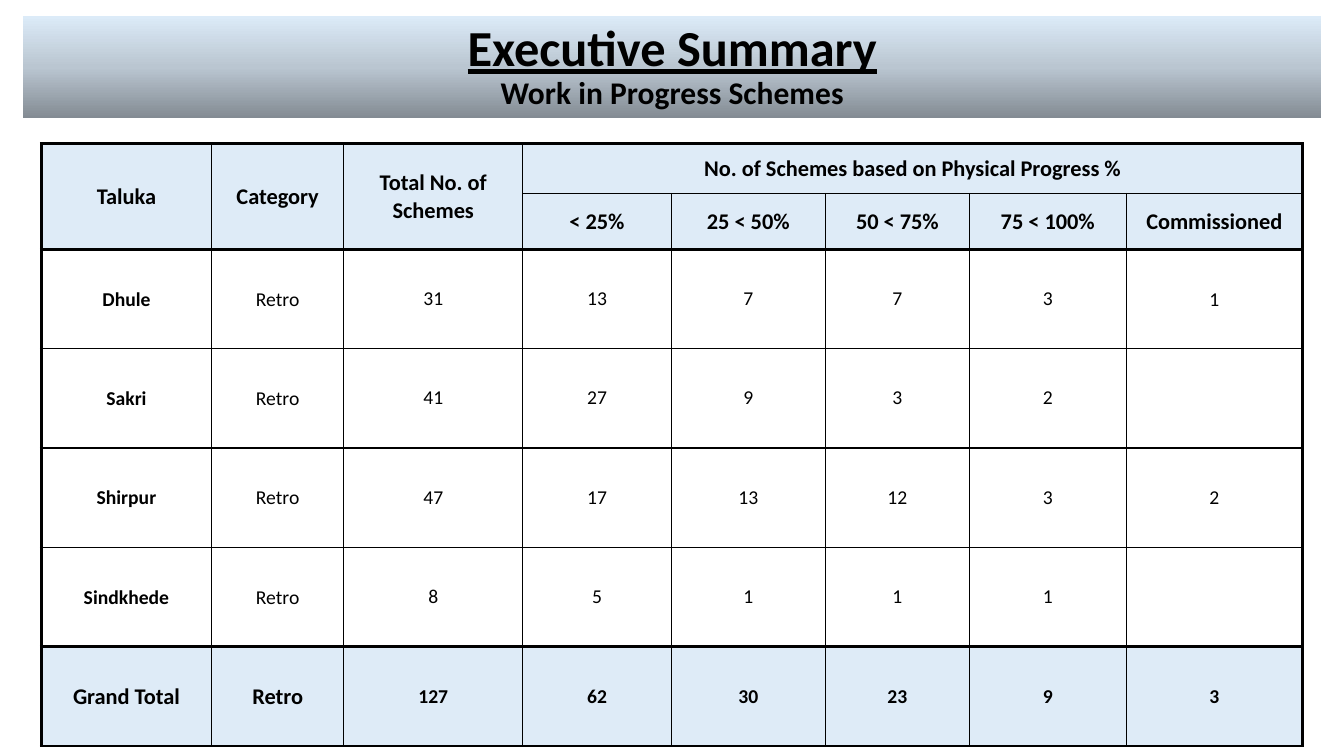
"""Build the executive summary slide of work in progress schemes."""
from dataclasses import dataclass

from pptx import Presentation
from pptx.dml.color import RGBColor
from pptx.enum.shapes import MSO_SHAPE
from pptx.enum.text import MSO_ANCHOR, PP_ALIGN
from pptx.oxml import parse_xml
from pptx.oxml.ns import nsdecls
from pptx.slide import Slide
from pptx.table import Table, _Cell
from pptx.util import Pt

CENTER = PP_ALIGN.CENTER
MIDDLE = MSO_ANCHOR.MIDDLE
RECTANGLE = MSO_SHAPE.RECTANGLE


@dataclass(frozen=True)
class Theme:
    """Colours, font and sizes of the slide."""
    font: str = "Calibri"
    text: str = "000000"
    border: str = "000000"
    shade: str = "DEEBF7"
    gradient: tuple[tuple[int, str], ...] = ((0, "838B93"), (50, "BAC6D1"), (100, "DCEBF8"))
    title_size: float = 36
    subtitle_size: float = 22.5
    heading_size: float = 16
    body_size: float = 14
    thin: float = 1
    thick: float = 2.25


@dataclass(frozen=True)
class Box:
    """A place on the slide in points."""
    left: float
    top: float
    width: float
    height: float


@dataclass(frozen=True)
class Heading:
    """A header cell and the rows and columns it covers."""
    row: int
    column: int
    text: str
    rows: int = 1
    columns: int = 1


@dataclass(frozen=True)
class Scheme:
    """The scheme counts of one taluka."""
    taluka: str
    category: str
    counts: tuple[int | None, ...]


THEME = Theme()
BANNER = Box(16.5, 11.5, 927.5, 72.75)
TABLE = Box(29.5, 102.75, 901, 426)
COLUMN_WIDTHS = (121.7, 94.3, 128, 106, 110.2, 102.8, 112, 126)
HEADER_ROWS = 2
HEADER_HEIGHT = 35.5
ROW_HEIGHT = 71
TIGHT_MARGINS = (0.6, 0.6, 0.6, 0)
COUNT_MARGINS = (2.2, 1.1, 2.2, 1.1)

HEADINGS = (
    Heading(0, 0, "Taluka", rows=2),
    Heading(0, 1, "Category", rows=2),
    Heading(0, 2, "Total No. of Schemes", rows=2),
    Heading(0, 3, "No. of Schemes based on Physical Progress %", columns=5),
    Heading(1, 3, "< 25%"),
    Heading(1, 4, "25 < 50%"),
    Heading(1, 5, "50 < 75%"),
    Heading(1, 6, "75 < 100%"),
    Heading(1, 7, "Commissioned"),
)
SCHEMES = (
    Scheme("Dhule", "Retro", (31, 13, 7, 7, 3, 1)),
    Scheme("Sakri", "Retro", (41, 27, 9, 3, 2, None)),
    Scheme("Shirpur", "Retro", (47, 17, 13, 12, 3, 2)),
    Scheme("Sindkhede", "Retro", (8, 5, 1, 1, 1, None)),
    Scheme("Grand Total", "Retro", (127, 62, 30, 23, 9, 3)),
)
ROW_COUNT = HEADER_ROWS + len(SCHEMES)
TOTAL_ROW = ROW_COUNT - 1
LAST_COLUMN = len(COLUMN_WIDTHS) - 1
THICK_ROW_EDGES = {0, HEADER_ROWS, TOTAL_ROW, ROW_COUNT}
THICK_COLUMN_EDGES = {0, len(COLUMN_WIDTHS)}


def add_banner(slide: Slide, box: Box) -> None:
    """Draw the gradient band with the title and subtitle."""
    shape = slide.shapes.add_shape(
        RECTANGLE, Pt(box.left), Pt(box.top), Pt(box.width), Pt(box.height))
    shape.shadow.inherit = False
    shape.line.fill.background()
    stops = "".join(
        f'<a:gs pos="{position * 1000}"><a:srgbClr val="{color}"/></a:gs>'
        for position, color in THEME.gradient)
    shape.element.spPr.ln.addprevious(parse_xml(
        f'<a:gradFill {nsdecls("a")} rotWithShape="1"><a:gsLst>{stops}</a:gsLst>'
        '<a:lin ang="16200000" scaled="0"/></a:gradFill>'))
    shape.text_frame.word_wrap = True
    shape.text_frame.vertical_anchor = MIDDLE
    paragraph = shape.text_frame.paragraphs[0]
    paragraph.alignment = CENTER
    paragraph.line_spacing = 0.9
    paragraph.font.name = THEME.font
    paragraph.font.bold = True
    paragraph.font.color.rgb = RGBColor.from_string(THEME.text)
    title = paragraph.add_run()
    title.text = "Executive Summary"
    title.font.size = Pt(THEME.title_size)
    title.font.underline = True
    paragraph.add_line_break()
    subtitle = paragraph.add_run()
    subtitle.text = "Work in Progress Schemes"
    subtitle.font.size = Pt(THEME.subtitle_size)


def write_cell(cell: _Cell, text: str, size: float, bold: bool, margins: tuple[float, ...]) -> None:
    """Write centred text into a table cell."""
    cell.vertical_anchor = MIDDLE
    cell.margin_left, cell.margin_top, cell.margin_right, cell.margin_bottom = map(Pt, margins)
    cell.text = text
    paragraph = cell.text_frame.paragraphs[0]
    paragraph.alignment = CENTER
    paragraph.font.name = THEME.font
    paragraph.font.size = Pt(size)
    paragraph.font.bold = bold
    paragraph.font.color.rgb = RGBColor.from_string(THEME.text)


def style_cell(cell: _Cell, row: int, column: int) -> None:
    """Fill a cell and draw its borders according to its place."""
    if row < HEADER_ROWS or row == TOTAL_ROW:
        cell.fill.solid()
        cell.fill.fore_color.rgb = RGBColor.from_string(THEME.shade)
    else:
        cell.fill.background()
    if cell.is_spanned:
        return
    edges = (
        ("lnL", column in THICK_COLUMN_EDGES),
        ("lnR", column + cell.span_width in THICK_COLUMN_EDGES),
        ("lnT", row in THICK_ROW_EDGES),
        ("lnB", row + cell.span_height in THICK_ROW_EDGES),
    )
    properties = cell._tc.get_or_add_tcPr()
    for index, (tag, thick) in enumerate(edges):
        width = Pt(THEME.thick if thick else THEME.thin)
        properties.insert(index, parse_xml(
            f'<a:{tag} {nsdecls("a")} w="{width}"><a:solidFill>'
            f'<a:srgbClr val="{THEME.border}"/></a:solidFill></a:{tag}>'))


def write_headings(table: Table) -> None:
    """Merge and write the header cells."""
    for heading in HEADINGS:
        cell = table.cell(heading.row, heading.column)
        if heading.rows * heading.columns > 1:
            cell.merge(table.cell(heading.row + heading.rows - 1,
                                  heading.column + heading.columns - 1))
        write_cell(cell, heading.text, THEME.heading_size, True, TIGHT_MARGINS)


def write_schemes(table: Table) -> None:
    """Write the taluka rows and the grand total."""
    for row, scheme in enumerate(SCHEMES, HEADER_ROWS):
        total = row == TOTAL_ROW
        for column, value in enumerate((scheme.taluka, scheme.category, *scheme.counts)):
            label = column < 2
            size = THEME.heading_size if total and label else THEME.body_size
            counted = not label and (total or column < LAST_COLUMN)
            write_cell(table.cell(row, column), "" if value is None else str(value), size,
                       total or column == 0, COUNT_MARGINS if counted else TIGHT_MARGINS)


def add_progress_table(slide: Slide, box: Box) -> None:
    """Draw the table of schemes by physical progress."""
    table = slide.shapes.add_table(
        ROW_COUNT, len(COLUMN_WIDTHS),
        Pt(box.left), Pt(box.top), Pt(box.width), Pt(box.height)).table
    table.first_row = table.horz_banding = False
    for column, width in zip(table.columns, COLUMN_WIDTHS):
        column.width = Pt(width)
    for index, row in enumerate(table.rows):
        row.height = Pt(HEADER_HEIGHT if index < HEADER_ROWS else ROW_HEIGHT)
    write_headings(table)
    write_schemes(table)
    for index, row in enumerate(table.rows):
        for column, cell in enumerate(row.cells):
            style_cell(cell, index, column)


def main() -> None:
    """Build and save the presentation."""
    presentation = Presentation()
    presentation.slide_width, presentation.slide_height = Pt(960), Pt(540)
    slide = presentation.slides.add_slide(presentation.slide_layouts[6])
    add_banner(slide, BANNER)
    add_progress_table(slide, TABLE)
    presentation.save("out.pptx")


if __name__ == "__main__":
    main()
